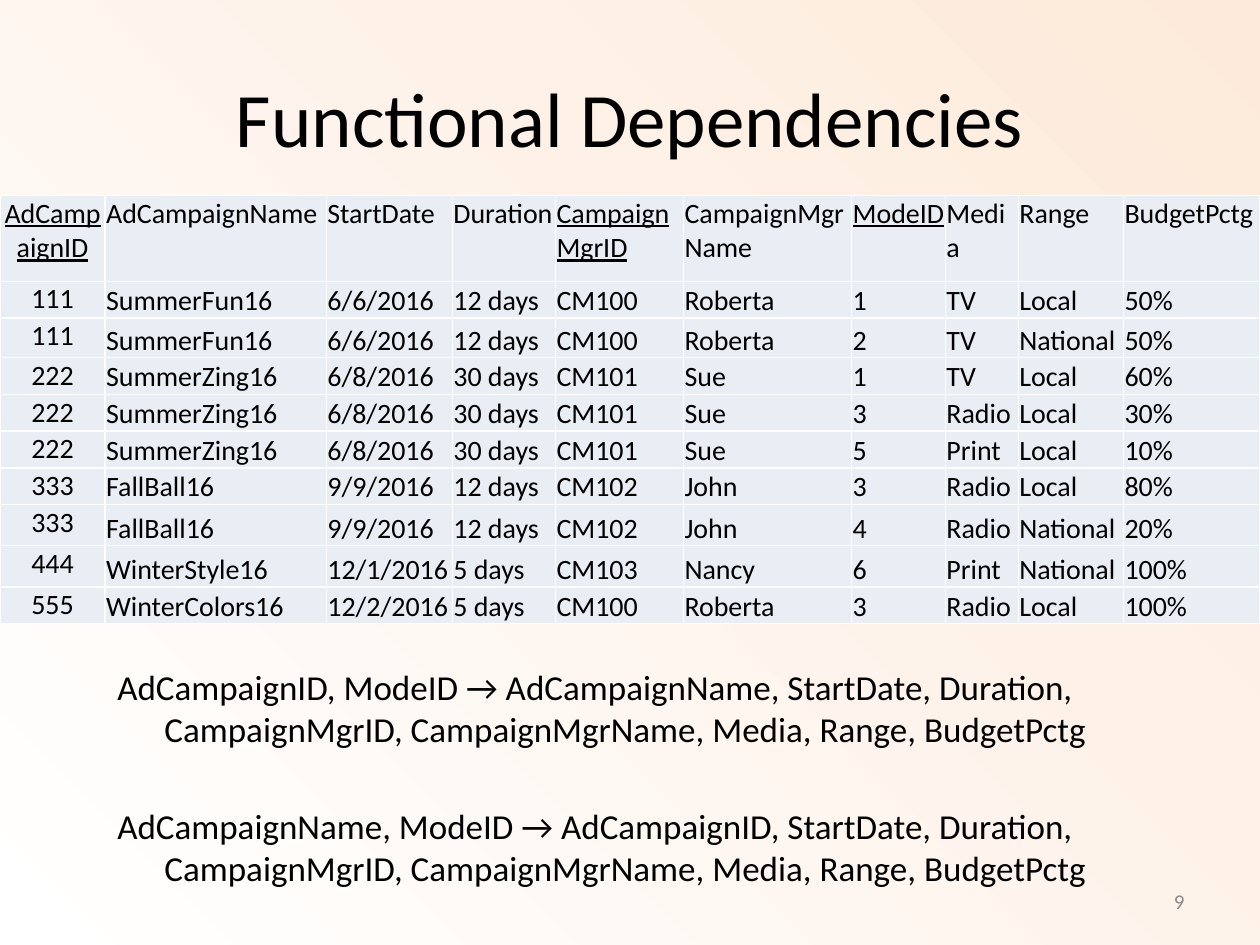
from dataclasses import dataclass

from lxml import etree
from pptx import Presentation
from pptx import util as u
from pptx.dml.color import RGBColor
from pptx.enum import text
from pptx.oxml import parse_xml
from pptx.oxml.ns import nsdecls, qn


@dataclass(frozen=True)
class Theme:
    font: str = "Calibri"
    ink: str = "000000"
    muted: str = "898989"
    cell: str = "E9EDF4"
    border: str = "FFFFFF"
    bg_inner: str = "FFFFFF"
    bg_outer: str = "FDEADA"
    title_size: int = 44
    body_size: int = 20
    table_size: int = 16
    number_size: int = 12


LEFT, CENTER, RIGHT = (text.PP_ALIGN.LEFT, text.PP_ALIGN.CENTER,
                       text.PP_ALIGN.RIGHT)
TOP, MIDDLE, BOTTOM = (text.MSO_ANCHOR.TOP, text.MSO_ANCHOR.MIDDLE,
                       text.MSO_ANCHOR.BOTTOM)

HEADERS = ["AdCampaignID", "AdCampaignName", "StartDate", "Duration",
           "CampaignMgrID", "CampaignMgrName", "ModeID", "Media", "Range",
           "BudgetPctg"]
KEYS = {"AdCampaignID", "CampaignMgrID", "ModeID"}
CAMPAIGNS = {
    "111": ["SummerFun16", "6/6/2016", "12 days", "CM100", "Roberta"],
    "222": ["SummerZing16", "6/8/2016", "30 days", "CM101", "Sue"],
    "333": ["FallBall16", "9/9/2016", "12 days", "CM102", "John"],
    "444": ["WinterStyle16", "12/1/2016", "5 days", "CM103", "Nancy"],
    "555": ["WinterColors16", "12/2/2016", "5 days", "CM100", "Roberta"],
}
MODES = {
    "1": ["TV", "Local"], "2": ["TV", "National"], "3": ["Radio", "Local"],
    "4": ["Radio", "National"], "5": ["Print", "Local"],
    "6": ["Print", "National"],
}
BUDGETS = [("111", "1", "50%"), ("111", "2", "50%"), ("222", "1", "60%"),
           ("222", "3", "30%"), ("222", "5", "10%"), ("333", "3", "80%"),
           ("333", "4", "20%"), ("444", "6", "100%"), ("555", "3", "100%")]
COL_WIDTHS = [2.12, 4.46, 2.54, 2.08, 2.58, 3.39, 1.89, 1.47, 2.12, 2.75]
ROW_HEIGHTS = [1.73, 0.74, 0.8, 0.74, 0.74, 0.74, 0.74, 0.83, 0.83, 0.74]
DEPENDENCIES = [
    "AdCampaignID, ModeID → AdCampaignName, StartDate, Duration, "
    "CampaignMgrID, CampaignMgrName, Media, Range, BudgetPctg",
    "AdCampaignName, ModeID → AdCampaignID, StartDate, Duration, "
    "CampaignMgrID, CampaignMgrName, Media, Range, BudgetPctg",
]


def set_all(obj, values):
    for name, value in values.items():
        setattr(obj, name, value)


class SlideBuilder:
    """Holds the theme and the current slide."""

    def __init__(self, prs, theme):
        self.theme = theme
        self.s = prs.slides.add_slide(prs.slide_layouts[1])

    def background(self):
        """Radial gradient that starts in the bottom left corner."""
        stops = "".join(
            f'<a:gs pos="{pos}"><a:srgbClr val="{color}"/></a:gs>'
            for pos, color in ((0, self.theme.bg_inner),
                               (100000, self.theme.bg_outer)))
        bg = parse_xml(
            f'<p:bg {nsdecls("p", "a")}><p:bgPr><a:gradFill rotWithShape="1">'
            f'<a:gsLst>{stops}</a:gsLst><a:path path="circle">'
            '<a:fillToRect t="100000" r="100000"/></a:path></a:gradFill>'
            '<a:effectLst/></p:bgPr></p:bg>')
        self.s.element.cSld.insert(0, bg)

    def place(self, sp, left, top, width, height):
        box = dict(left=left, top=top, width=width, height=height)
        set_all(sp, {name: u.Cm(value) for name, value in box.items()})

    def add_text(self, p, content, size, color=None, align=LEFT,
                 underline=False):
        p.alignment = align
        r = p.add_run()
        r.text = content
        set_all(r.font, dict(name=self.theme.font, size=u.Pt(size),
                             underline=underline))
        r.font.color.rgb = RGBColor.from_string(color or self.theme.ink)

    def title(self, content, box):
        sp = self.s.shapes.title
        self.place(sp, *box)
        tf = sp.text_frame
        set_all(tf, dict(vertical_anchor=MIDDLE,
                         auto_size=text.MSO_AUTO_SIZE.NONE))
        self.add_text(tf.paragraphs[0], content, self.theme.title_size,
                      align=CENTER)

    def body(self, items, box, margin_top, gap):
        """Unbulleted list with hanging indents; gap is in points."""
        sp = self.s.placeholders[1]
        self.place(sp, *box)
        tf = sp.text_frame
        set_all(tf, dict(margin_top=u.Cm(margin_top), vertical_anchor=TOP,
                         auto_size=text.MSO_AUTO_SIZE.NONE))
        for i, item in enumerate(items):
            p = tf.add_paragraph() if i else tf.paragraphs[0]
            p.space_before = u.Pt(gap if i else 0)
            pPr = p._p.get_or_add_pPr()
            pPr.set("marL", str(u.Cm(0.95)))
            pPr.set("indent", str(-u.Cm(0.95)))
            etree.SubElement(pPr, qn("a:buNone"))
            self.add_text(p, item, self.theme.body_size)

    def slide_number(self, number, box):
        sp = self.s.shapes.add_textbox(*map(u.Cm, box))
        tf = sp.text_frame
        set_all(tf, dict(word_wrap=True, vertical_anchor=MIDDLE))
        self.add_text(tf.paragraphs[0], number, self.theme.number_size,
                      self.theme.muted, RIGHT)

    def cell_borders(self, cell):
        tcPr = cell._tc.get_or_add_tcPr()
        for i, side in enumerate("LRTB"):
            tcPr.insert(i, parse_xml(
                f'<a:ln{side} {nsdecls("a")} w="{u.Pt(1)}"><a:solidFill>'
                f'<a:srgbClr val="{self.theme.border}"/></a:solidFill>'
                f'</a:ln{side}>'))

    def table(self, rows, top):
        frame = self.s.shapes.add_table(
            len(rows), len(rows[0]), 0, u.Cm(top),
            u.Cm(sum(COL_WIDTHS)), u.Cm(sum(ROW_HEIGHTS)))
        table = frame.table
        set_all(table, dict(first_row=False, horz_banding=False))
        for col, width in zip(table.columns, COL_WIDTHS):
            col.width = u.Cm(width)
        for row, height in zip(table.rows, ROW_HEIGHTS):
            row.height = u.Cm(height)
        inset = u.Cm(0.02)
        for i, values in enumerate(rows):
            for j, value in enumerate(values):
                cell = table.cell(i, j)
                set_all(cell, dict(
                    margin_left=inset, margin_right=inset, margin_top=inset,
                    margin_bottom=0,
                    vertical_anchor=BOTTOM if i and j else TOP))
                cell.fill.solid()
                cell.fill.fore_color.rgb = RGBColor.from_string(
                    self.theme.cell)
                self.cell_borders(cell)
                self.add_text(cell.text_frame.paragraphs[0], value,
                              self.theme.table_size,
                              align=LEFT if j else CENTER,
                              underline=value in KEYS)


def main():
    prs = Presentation()
    set_all(prs, dict(slide_width=u.Cm(25.4), slide_height=u.Cm(19.05)))
    slide = SlideBuilder(prs, Theme())
    slide.background()
    slide.title("Functional Dependencies", (1.27, 0.76, 22.86, 3.18))
    slide.slide_number("9", (18.2, 17.66, 5.93, 1.01))
    rows = [[campaign, *CAMPAIGNS[campaign], mode, *MODES[mode], budget]
            for campaign, mode, budget in BUDGETS]
    slide.table([HEADERS, *rows], top=3.94)
    slide.body(DEPENDENCIES, (2.11, 12.27, 24.13, 5.61),
               margin_top=1.15, gap=31)
    prs.save("out.pptx")


if __name__ == "__main__":
    main()
